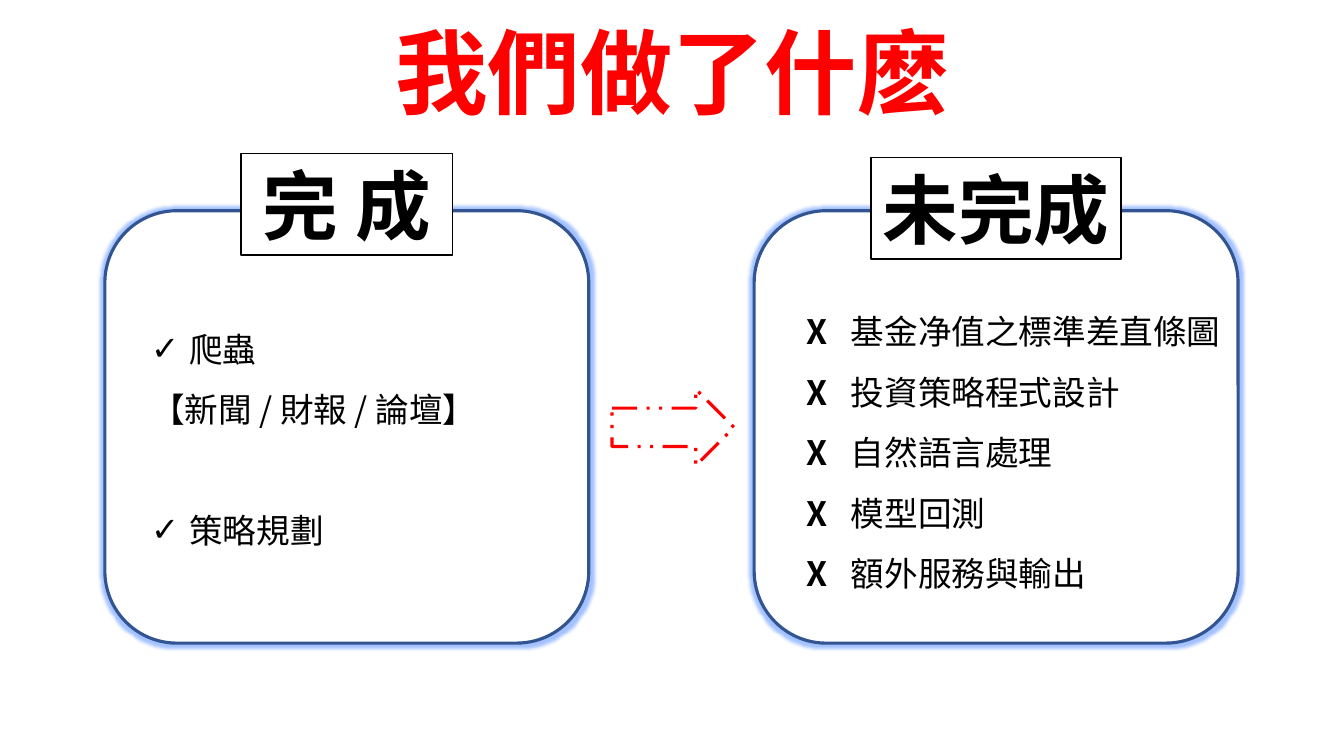
from lxml.etree import SubElement
from pptx import Presentation
from pptx.dml.color import RGBColor
from pptx.enum.dml import MSO_LINE
from pptx.enum.shapes import MSO_SHAPE
from pptx.enum.text import MSO_ANCHOR, PP_ALIGN
from pptx.oxml.ns import qn
from pptx.util import Emu, Pt

PX = 9144
WHITE = RGBColor(0xFF, 0xFF, 0xFF)
BLACK = RGBColor(0x00, 0x00, 0x00)
RED = RGBColor(0xFF, 0x00, 0x00)
NAVY = RGBColor(0x32, 0x54, 0x91)
GLOW = RGBColor(0x66, 0x99, 0xFF)

DONE = [("✓", "爬蟲"), ("", "【新聞 / 財報 / 論壇】"), ("✓", "策略規劃")]
NOT_DONE = ["基金净值之標準差直條圖", "投資策略程式設計", "自然語言處理", "模型回測", "額外服務與輸出"]


def px(value):
    return Emu(value * PX)


class SlideBuilder:
    title_font = "Arial"
    label_font = "Calibri"
    body_font = "Noto Sans CJK SC"
    body_size = 24
    line_pitch = Pt(43.2)

    def __init__(self, presentation):
        self.slide = presentation.slides.add_slide(presentation.slide_layouts[6])

    def style(self, paragraph, font, size, color, bold=None):
        paragraph.font.name = font
        paragraph.font.size = Pt(size)
        paragraph.font.color.rgb = color
        paragraph.font.bold = bold

    def shape(self, kind, box, color, width, dash=None):
        shape = self.slide.shapes.add_shape(kind, *map(px, box))
        shape.shadow.inherit = False
        shape.fill.solid()
        shape.fill.fore_color.rgb = WHITE
        shape.line.color.rgb = color
        shape.line.width = Pt(width)
        if dash:
            shape.line.dash_style = dash
        return shape

    def panel(self, left):
        shape = self.shape(MSO_SHAPE.ROUNDED_RECTANGLE, (left, 209, 480, 429), NAVY, 2.25)
        effects = shape._element.spPr.find(qn("a:effectLst"))
        glow = SubElement(effects, qn("a:glow"), rad="63500")
        color = SubElement(glow, qn("a:srgbClr"), val=str(GLOW))
        SubElement(color, qn("a:alpha"), val="60000")

    def heading(self, frame, text, font, size, color):
        frame.margin_top = frame.margin_bottom = 0
        frame.vertical_anchor = MSO_ANCHOR.MIDDLE
        paragraph = frame.paragraphs[0]
        paragraph.text = text
        paragraph.alignment = PP_ALIGN.CENTER
        self.style(paragraph, font, size, color, True)

    def title(self, text, box):
        frame = self.slide.shapes.add_textbox(*map(px, box)).text_frame
        frame.word_wrap = True
        self.heading(frame, text, self.title_font, 66, color=RED)

    def label(self, text, box):
        frame = self.shape(MSO_SHAPE.RECTANGLE, box, BLACK, 1).text_frame
        frame.word_wrap = False
        self.heading(frame, text, self.label_font, 54, color=BLACK)

    def body(self, box, count):
        frame = self.slide.shapes.add_textbox(*map(px, box)).text_frame
        frame.word_wrap = True
        for _ in range(count - 1):
            frame.add_paragraph()
        return frame.paragraphs

    def hang(self, paragraph, indent):
        properties = paragraph._p.get_or_add_pPr()
        properties.set("marL", str(px(indent)))
        properties.set("indent", str(px(-indent)))
        return properties

    def finish_line(self, paragraph):
        paragraph.line_spacing = self.line_pitch
        self.style(paragraph, self.body_font, self.body_size, BLACK)

    def checklist(self, items, box):
        paragraphs = self.body(box, len(items))
        for paragraph, (mark, text) in zip(paragraphs, items):
            paragraph.text = text
            if mark:
                properties = self.hang(paragraph, 38)
                SubElement(properties, qn("a:buFont"), typeface=self.title_font)
                SubElement(properties, qn("a:buChar"), char=mark)
            self.finish_line(paragraph)
        paragraphs[-1].space_before = self.line_pitch

    def crosslist(self, items, box):
        for paragraph, text in zip(self.body(box, len(items)), items):
            self.hang(paragraph, 44)
            cross = paragraph.add_run()
            cross.text = "X"
            cross.font.bold = True
            paragraph.add_run().text = "\t" + text
            self.finish_line(paragraph)


def main():
    presentation = Presentation()
    presentation.slide_width = px(1333)
    presentation.slide_height = px(750)
    builder = SlideBuilder(presentation)
    for left in (104, 748):
        builder.panel(left)
    builder.title("我們做了什麽", (300, 9, 734, 121))
    builder.checklist(DONE, (140, 301, 528, 246))
    builder.crosslist(NOT_DONE, (790, 284, 528, 307))
    builder.shape(MSO_SHAPE.RIGHT_ARROW, (607, 386, 121, 76), RED, 2.25, MSO_LINE.DASH_DOT_DOT)
    builder.label("完 成", (239, 152, 210, 101))
    builder.label("未完成", (864, 156, 248, 101))
    presentation.save("out.pptx")


if __name__ == "__main__":
    main()
